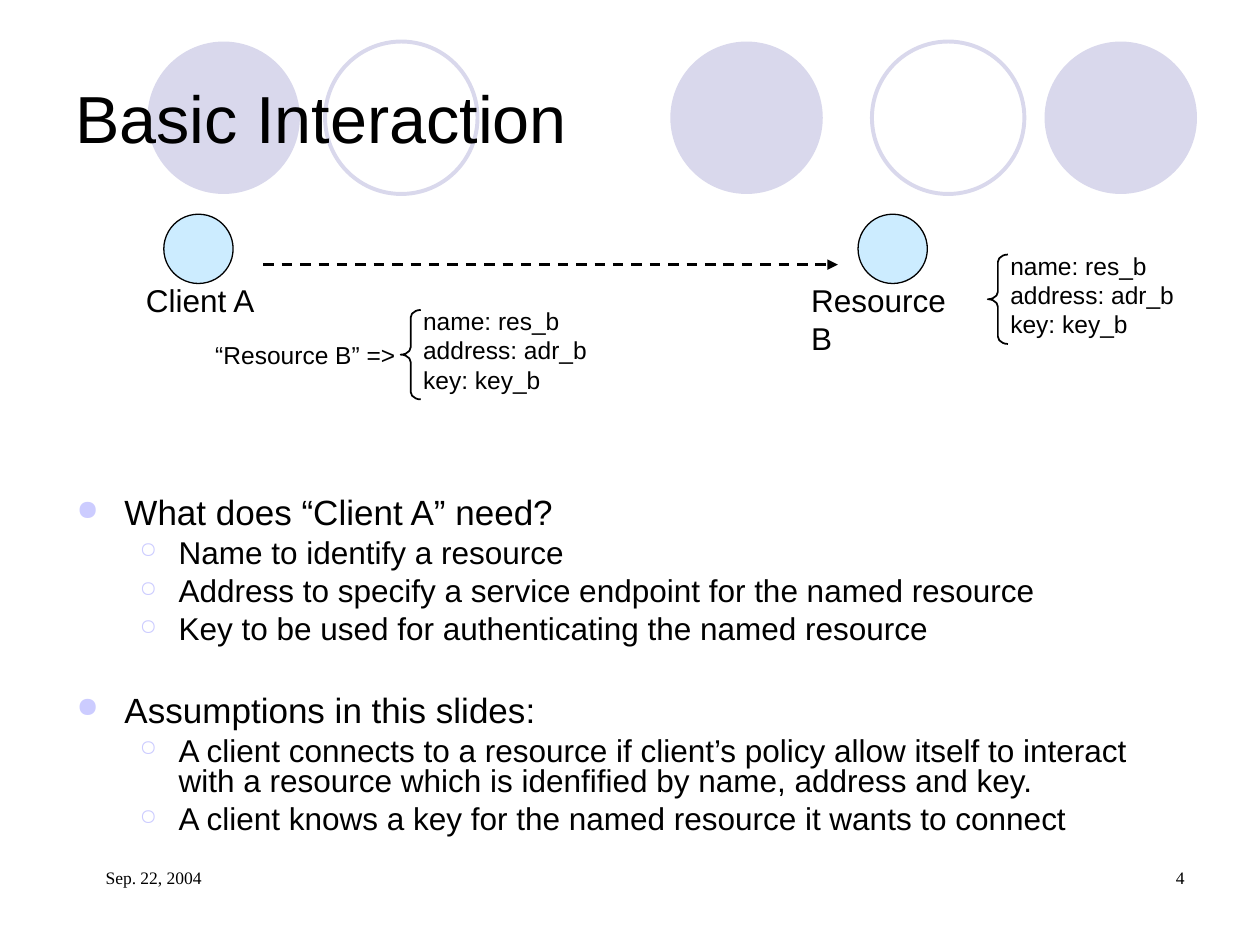
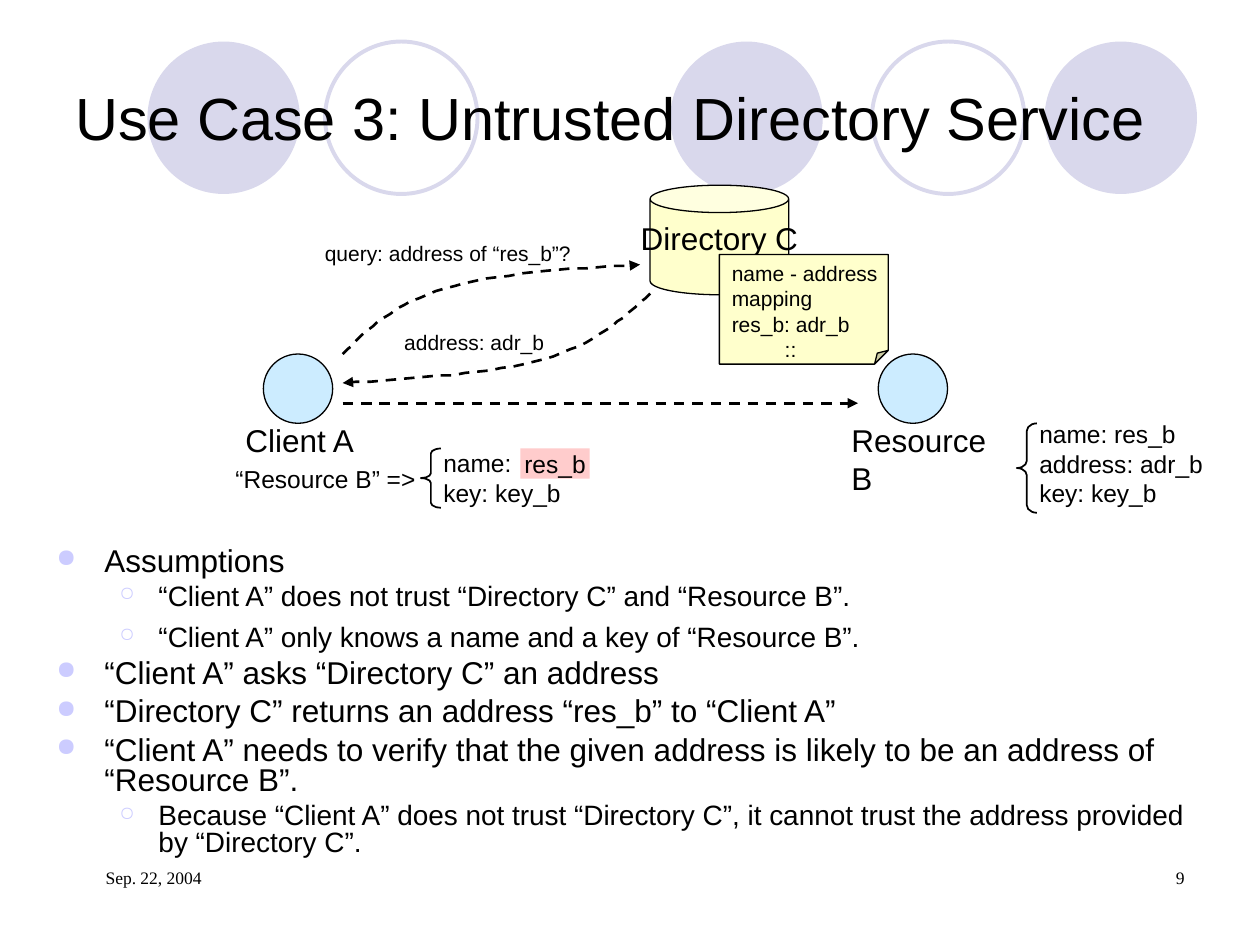
from dataclasses import dataclass

from lxml import etree
from pptx import Presentation
from pptx.dml.color import RGBColor
from pptx.enum.dml import MSO_LINE
from pptx.enum.shapes import MSO_CONNECTOR, MSO_SHAPE
from pptx.enum.text import MSO_ANCHOR, PP_ALIGN
from pptx.oxml.ns import qn
from pptx.util import Pt

PX = 9144
DASH = MSO_LINE.DASH
STRAIGHT = MSO_CONNECTOR.STRAIGHT
OVAL, RECT = MSO_SHAPE.OVAL, MSO_SHAPE.RECTANGLE
CAN, NOTE, BRACE = MSO_SHAPE.CAN, MSO_SHAPE.FOLDED_CORNER, MSO_SHAPE.LEFT_BRACE
TOP, MIDDLE = MSO_ANCHOR.TOP, MSO_ANCHOR.MIDDLE
LEFT, CENTER, RIGHT = PP_ALIGN.LEFT, PP_ALIGN.CENTER, PP_ALIGN.RIGHT


@dataclass(frozen=True)
class Theme:
    ink: str = "000000"
    band: str = "D9D8EC"
    bullet: str = "CCCCFF"
    node: str = "CCECFF"
    store: str = "FFFFCC"
    mark: str = "FFCCCC"
    sans: str = "Arial"
    serif: str = "Times New Roman"
    label: int = 18
    record: int = 14
    small: int = 12
    footer: int = 10
    thin: float = 0.75
    brace: float = 1
    arrow: float = 1.5
    ring: float = 2.25


@dataclass(frozen=True)
class Level:
    char: str
    size_pct: int
    left: int
    hang: int


LEVELS = (Level("●", 80, 38, 38), Level("○", 70, 81, 31))
RESOURCE = ("name: res_b", "address: adr_b", "key: key_b")


def bezier(a, b, c, d, steps=16):
    for i in range(1, steps + 1):
        t = i / steps
        u = 1 - t
        yield tuple(u**3 * p + 3 * u * u * t * q + 3 * u * t * t * r + t**3 * s
                    for p, q, r, s in zip(a, b, c, d))


class Deck:
    def __init__(self, theme):
        self.theme = theme
        self.prs = Presentation()
        self.prs.slide_width = 1000 * PX
        self.prs.slide_height = 750 * PX
        self.s = None

    def slide(self, title, title_size, number):
        self.s = self.prs.slides.add_slide(self.prs.slide_layouts[6])
        t = self.theme
        for x in (532, 829, 117):
            self.shape(OVAL, x, 33, 121, 121, fill=t.band)
        for x in (692, 258):
            self.shape(OVAL, x, 33, 121, 121, line=t.band, width=t.ring)
        self.text(50, 30, 900, 125, [title], title_size, anchor=MIDDLE, wrap=True)
        self.footer(717, str(number), RIGHT)
        self.footer(50, "Sep. 22, 2004", LEFT)

    def footer(self, x, text, align):
        tf = self.text(x, 683, 233, 50, [text], self.theme.footer, align,
                       wrap=True, font=self.theme.serif)
        self.indent(tf.paragraphs[0], 24)

    def indent(self, p, left, hang=0):
        pPr = p._p.get_or_add_pPr()
        pPr.set("marL", str(left * PX))
        pPr.set("indent", str(-hang * PX))
        return pPr

    def run(self, p, text, size, font=None):
        r = p.add_run()
        r.text = text
        r.font.size = Pt(size)
        r.font.name = font or self.theme.sans
        r.font.color.rgb = RGBColor.from_string(self.theme.ink)

    def fill_text(self, tf, lines, size, align=LEFT, anchor=TOP, wrap=False, font=None):
        tf.word_wrap = wrap
        tf.vertical_anchor = anchor
        for i, line in enumerate(lines):
            p = tf.add_paragraph() if i else tf.paragraphs[0]
            p.alignment = align
            self.run(p, line, size, font)
        return tf

    def text(self, x, y, w, h, lines, size, align=LEFT, **style):
        sp = self.s.shapes.add_textbox(x * PX, y * PX, w * PX, h * PX)
        return self.fill_text(sp.text_frame, lines, size, align, **style)

    def stroke(self, sp, color, width):
        sp.line.color.rgb = RGBColor.from_string(color)
        sp.line.width = Pt(width)

    def shape(self, kind, x, y, w, h, fill=None, line=None, width=0.75):
        sp = self.s.shapes.add_shape(kind, x * PX, y * PX, w * PX, h * PX)
        sp.shadow.inherit = False
        if fill:
            sp.fill.solid()
            sp.fill.fore_color.rgb = RGBColor.from_string(fill)
        else:
            sp.fill.background()
        if line:
            self.stroke(sp, line, width)
        else:
            sp.line.fill.background()
        return sp

    def node(self, x, y, label, label_x, label_w):
        t = self.theme
        self.shape(OVAL, x, y, 55, 55, t.node, t.ink, t.thin)
        self.text(label_x, y + 48, label_w, 40, [label], t.label)

    def record(self, x, y, h, lines, text_y, text_w):
        t = self.theme
        sp = self.shape(BRACE, x, y, 16, h, line=t.ink, width=t.brace)
        sp.adjustments[0] = h / 12 / 16
        self.text(x + 8, text_y, text_w, 24 * len(lines) + 9, lines, t.record)

    def note(self, x, y, w, h, lines):
        t = self.theme
        sp = self.shape(NOTE, x, y, w, h, t.store, t.ink, t.thin)
        guides = sp._element.spPr.find(qn("a:prstGeom")).get_or_add_avLst()
        etree.SubElement(guides, qn("a:gd"), name="adj", fmla="val 12500")
        return self.fill_text(sp.text_frame, lines, t.small)

    def dashed_arrow(self, sp):
        self.stroke(sp, self.theme.ink, self.theme.arrow)
        sp.line.dash_style = DASH
        ln = sp._element.spPr.find(qn("a:ln"))
        etree.SubElement(ln, qn("a:tailEnd"), type="triangle")

    def arrow(self, x1, x2, y):
        sp = self.s.shapes.add_connector(STRAIGHT, x1 * PX, y * PX, x2 * PX, y * PX)
        self.dashed_arrow(sp)
        etree.SubElement(sp._element.spPr, qn("a:effectLst"))

    def curve(self, *knots):
        points = []
        for i in range(0, len(knots) - 1, 3):
            points.extend(bezier(*knots[i:i + 4]))
        builder = self.s.shapes.build_freeform(*knots[0], scale=PX)
        builder.add_line_segments(points, close=False)
        sp = builder.convert_to_shape()
        sp.shadow.inherit = False
        sp.fill.background()
        self.dashed_arrow(sp)

    def bullets(self, x, y, w, h, sizes, items):
        tf = self.s.shapes.add_textbox(x * PX, y * PX, w * PX, h * PX).text_frame
        tf.word_wrap = True
        for i, (depth, text, *custom) in enumerate(items):
            p = tf.add_paragraph() if i else tf.paragraphs[0]
            p.level = depth
            level, size = LEVELS[depth], sizes[depth]
            pPr = self.indent(p, level.left, level.hang)
            color = etree.SubElement(pPr, qn("a:buClr"))
            etree.SubElement(color, qn("a:srgbClr"), val=self.theme.bullet)
            etree.SubElement(pPr, qn("a:buSzPct"), val=str(level.size_pct * 1000))
            etree.SubElement(pPr, qn("a:buChar"), char=level.char)
            options = custom[0] if custom else {}
            p.line_spacing = options.get("spacing", 0.8)
            if i:
                p.space_before = Pt(options.get("before", size / 4))
            self.run(p, text, size)


def basic_interaction(deck):
    t = deck.theme
    deck.slide("Basic Interaction", 38, 4)
    deck.bullets(51, 391, 900, 288, (20, 18), [
        (0, "What does “Client A” need?"),
        (1, "Name to identify a resource"),
        (1, "Address to specify a service endpoint for the named resource"),
        (1, "Key to be used for authenticating the named resource"),
        (0, "Assumptions in this slides:", {"before": 28.4}),
        (1, "A client connects to a resource if client’s policy allow itself to "
            "interact with a resource which is idenfified by name, address and key."),
        (1, "A client knows a key for the named resource it wants to connect"),
    ])
    deck.node(681, 170, "Resource B", 634, 150)
    deck.node(130, 170, "Client A", 106, 107)
    deck.arrow(209, 665, 210)
    deck.record(784, 202, 71, RESOURCE, 194, 150)
    deck.record(318, 246, 71, RESOURCE, 238, 150)
    deck.text(161, 265, 168, 34, ["“Resource B” =>"], t.record)


def untrusted_directory(deck):
    t = deck.theme
    deck.slide("Use Case 3: Untrusted Directory Service", 34, 9)
    deck.bullets(35, 430, 916, 260, (18, 16), [
        (0, "Assumptions"),
        (1, "“Client A” does not trust “Directory C” and “Resource B”."),
        (1, "“Client A” only knows a name and a key of “Resource B”.", {"spacing": 1.0}),
        (0, "“Client A” asks “Directory C” an address"),
        (0, "“Directory C” returns an address “res_b” to “Client A”"),
        (0, "“Client A” needs to verify that the given address is likely to be "
            "an address of “Resource B”."),
        (1, "Because “Client A” does not trust “Directory C”, it cannot trust "
            "the address provided by “Directory C”."),
    ])
    deck.node(697, 281, "Resource B", 666, 150)
    deck.arrow(272, 681, 320)

    can = deck.shape(CAN, 516, 147, 110, 87, t.store, t.ink, t.thin)
    deck.fill_text(can.text_frame, ["Directory C"], t.label, CENTER)
    tf = deck.note(571, 202, 134, 87,
                   ["name - address", "mapping", "res_b: adr_b", "::"])
    deck.indent(tf.paragraphs[-1], 42)

    deck.record(807, 336, 71, RESOURCE, 328, 150)
    deck.curve((272, 281), (292, 261), (313, 241), (353, 229),
               (392, 217), (450, 213), (508, 210))
    deck.curve((516, 233), (494, 253), (472, 273), (432, 285),
               (391, 297), (331, 300), (272, 304))
    deck.node(209, 281, "Client A", 185, 107)
    deck.text(248, 186, 220, 30, ["query: address of “res_b”?"], t.small)
    deck.text(311, 257, 131, 30, ["address: adr_b"], t.small)
    deck.record(334, 356, 47, ("name:", "key: key_b"), 351, 113)
    key = deck.shape(RECT, 413, 356, 55, 24, t.mark)
    deck.fill_text(key.text_frame, ["res_b"], t.record, CENTER, MIDDLE)
    deck.text(177, 363, 168, 34, ["“Resource B” =>"], t.record)


def main():
    deck = Deck(Theme())
    basic_interaction(deck)
    untrusted_directory(deck)
    deck.prs.save("out.pptx")


if __name__ == "__main__":
    main()
